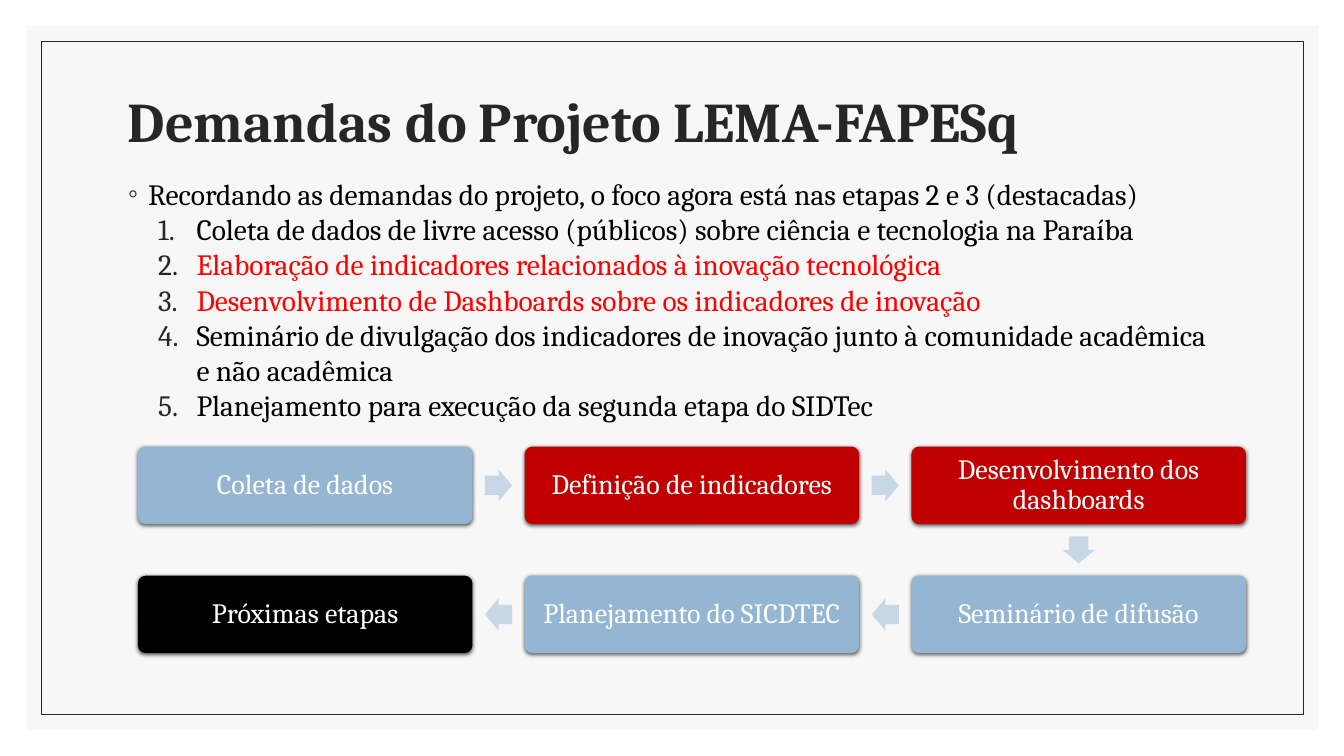
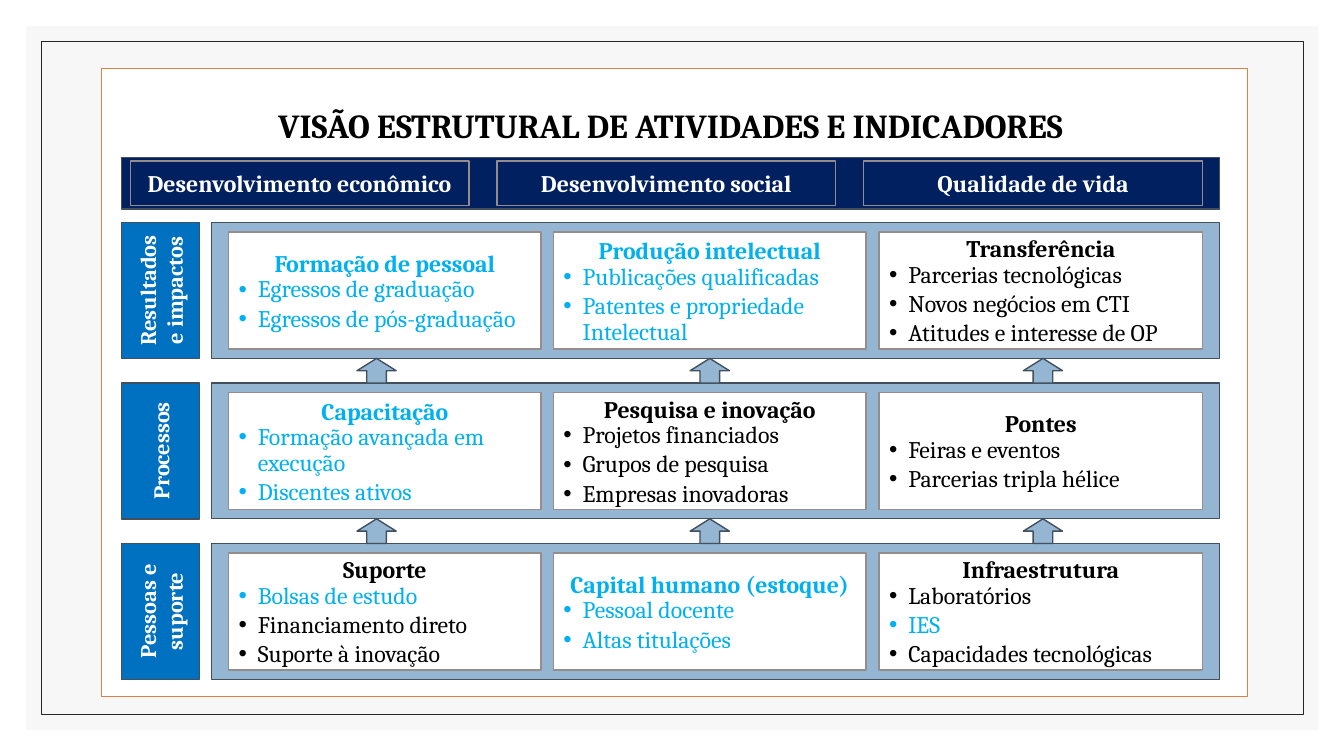
import dataclasses
import itertools
import math

import lxml.etree
import pptx
import pptx.dml.color
import pptx.enum.shapes
import pptx.enum.text
import pptx.oxml.ns
import pptx.util

Pt = pptx.util.Pt
SHAPE = pptx.enum.shapes.MSO_SHAPE
ALIGN = pptx.enum.text.PP_ALIGN
ANCHOR = pptx.enum.text.MSO_ANCHOR
qn = pptx.oxml.ns.qn


@dataclasses.dataclass(frozen=True)
class Theme:
    font: str = "Cambria"
    paper: str = "F7F7F7"
    ink: str = "262626"
    black: str = "000000"
    white: str = "FFFFFF"
    red: str = "FF0000"
    crimson: str = "C00000"
    steel: str = "94B6D2"
    pale: str = "C8D7E5"
    slate: str = "41505C"
    grey: str = "968C8C"
    orange: str = "DD8047"
    blue: str = "0070C0"
    navy: str = "002060"
    cyan: str = "00B0F0"
    title_size: int = 40
    body_size: int = 21
    step_size: int = 20
    panel_title_size: int = 24
    card_size: int = 17
    label_size: int = 16


T = Theme()

DEMANDS = [
    ("Coleta de dados de livre acesso (públicos) sobre ciência e tecnologia na Paraíba", T.black),
    ("Elaboração de indicadores relacionados à inovação tecnológica", T.red),
    ("Desenvolvimento de Dashboards sobre os indicadores de inovação", T.red),
    ("Seminário de divulgação dos indicadores de inovação junto à comunidade acadêmica e não acadêmica", T.black),
    ("Planejamento para execução da segunda etapa do SIDTec", T.black),
]

STEPS = [
    ("Coleta de dados", T.steel, 0, 0),
    ("Definição de indicadores", T.crimson, 1, 0),
    ("Desenvolvimento dos dashboards", T.crimson, 2, 0),
    ("Seminário de difusão", T.steel, 2, 1),
    ("Planejamento do SICDTEC", T.steel, 1, 1),
    ("Próximas etapas", T.black, 0, 1),
]

GOALS = ["Desenvolvimento econômico", "Desenvolvimento social", "Qualidade de vida"]

LAYERS = [
    ("Resultados e impactos", [
        [("Formação de pessoal", T.cyan), ("Egressos de graduação", T.cyan),
         ("Egressos de pós-graduação", T.cyan)],
        [("Produção intelectual", T.cyan), ("Publicações qualificadas", T.cyan),
         ("Patentes e propriedade Intelectual", T.cyan)],
        [("Transferência", T.black), ("Parcerias tecnológicas", T.black),
         ("Novos negócios em CTI", T.black), ("Atitudes e interesse de OP", T.black)],
    ]),
    ("Processos", [
        [("Capacitação", T.cyan), ("Formação avançada em execução", T.cyan),
         ("Discentes ativos", T.cyan)],
        [("Pesquisa e inovação", T.black), ("Projetos financiados", T.black),
         ("Grupos de pesquisa", T.black), ("Empresas inovadoras", T.black)],
        [("Pontes", T.black), ("Feiras e eventos", T.black),
         ("Parcerias tripla hélice", T.black)],
    ]),
    ("Pessoas e suporte", [
        [("Suporte", T.black), ("Bolsas de estudo", T.cyan),
         ("Financiamento direto", T.black), ("Suporte à inovação", T.black)],
        [("Capital humano (estoque)", T.cyan), ("Pessoal docente", T.cyan),
         ("Altas titulações", T.cyan)],
        [("Infraestrutura", T.black), ("Laboratórios", T.black), ("IES", T.cyan),
         ("Capacidades tecnológicas", T.black)],
    ]),
]


def rgb(color):
    return pptx.dml.color.RGBColor.from_string(color)


def place(sp, x, y, w, h):
    sp.left, sp.top, sp.width, sp.height = Pt(x), Pt(y), Pt(w), Pt(h)


def add_shape(s, kind, box, fill=None, line=None, line_width=1):
    x, y, w, h = box
    sp = s.shapes.add_shape(kind, Pt(x), Pt(y), Pt(w), Pt(h))
    sp.shadow.inherit = False
    if fill:
        sp.fill.solid()
        sp.fill.fore_color.rgb = rgb(fill)
    else:
        sp.fill.background()
    if line:
        sp.line.color.rgb = rgb(line)
        sp.line.width = Pt(line_width)
    else:
        sp.line.fill.background()
    return sp


def set_frame(sp, anchor=ANCHOR.MIDDLE):
    tf = sp.text_frame
    tf.auto_size = pptx.enum.text.MSO_AUTO_SIZE.NONE
    tf.word_wrap = True
    tf.vertical_anchor = anchor
    return tf


def write(tf, text, size, color, bold=False, align=ALIGN.CENTER, spacing=1.0, after=0):
    p = tf.paragraphs[0]
    if p.runs:
        p = tf.add_paragraph()
    p.alignment = align
    p.line_spacing = spacing
    p.space_before = Pt(0)
    p.space_after = Pt(after)
    r = p.add_run()
    r.text = text
    r.font.name = T.font
    r.font.size = Pt(size)
    r.font.bold = bold
    r.font.color.rgb = rgb(color)
    return p


def add_bullet(p, indent, hanging, color, tag, **attrs):
    pPr = p._p.get_or_add_pPr()
    pPr.set("marL", str(Pt(indent)))
    pPr.set("indent", str(-Pt(hanging)))
    clr = lxml.etree.SubElement(pPr, qn("a:buClr"))
    lxml.etree.SubElement(clr, qn("a:srgbClr"), val=color)
    lxml.etree.SubElement(pPr, qn("a:buFont"), typeface="Arial")
    lxml.etree.SubElement(pPr, qn(tag), **attrs)


def add_soft_shadow(sp):
    effects = sp.element.spPr.find(qn("a:effectLst"))
    outer = lxml.etree.SubElement(effects, qn("a:outerShdw"), blurRad=str(Pt(3)),
                                  dist=str(Pt(1)), dir="5400000", rotWithShape="0")
    clr = lxml.etree.SubElement(outer, qn("a:srgbClr"), val=T.black)
    lxml.etree.SubElement(clr, qn("a:alpha"), val="63000")


def move_to_back(sp, shapes, depth=0):
    shapes.element.insert(2 + depth, sp.element)


def frame_master(prs, s):
    paper = add_shape(s, SHAPE.RECTANGLE, (18.7, 18.7, 923, 502.6), T.paper)
    border = add_shape(s, SHAPE.RECTANGLE, (29.5, 29.5, 901.4, 481), None, T.ink, 0.5)
    for depth, sp in enumerate((paper, border)):
        move_to_back(sp, prs.slide_master.shapes, depth)


def set_title(s, box, text, size, color, align):
    place(s.shapes.title, *box)
    write(set_frame(s.shapes.title), text, size, color, True, align, 0.9)


def demand_list(s, box):
    body = s.placeholders[1]
    place(body, *box)
    tf = set_frame(body, ANCHOR.TOP)
    p = write(tf, "Recordando as demandas do projeto, o foco agora está nas etapas 2 e 3 (destacadas)",
              T.body_size, T.black, align=ALIGN.LEFT, spacing=1.1)
    add_bullet(p, 14.4, 14.4, T.ink, "a:buChar", char="◦")
    for text, color in DEMANDS:
        p = write(tf, text, T.body_size, color, align=ALIGN.LEFT)
        p.level = 1
        add_bullet(p, 49, 27.4, T.ink, "a:buAutoNum", type="arabicPeriod")


def step_flow(s, box):
    x, y, w, h = box
    step_w, step_h = 239, 55.4
    pitch_x, pitch_y = (w - step_w) / 2, h - step_h
    arrow_w, arrow_h = 19.4, 23
    centres = []
    for text, color, col, row in STEPS:
        left, top = x + col * pitch_x, y + row * pitch_y
        sp = add_shape(s, SHAPE.ROUNDED_RECTANGLE, (left, top, step_w, step_h), color)
        sp.adjustments[0] = 0.1
        add_soft_shadow(sp)
        write(set_frame(sp), text, T.step_size, T.white, spacing=0.9)
        centres.append((left + step_w / 2, top + step_h / 2))
    for (x1, y1), (x2, y2) in itertools.pairwise(centres):
        arrow = add_shape(s, SHAPE.RIGHT_ARROW, ((x1 + x2 - arrow_w) / 2, (y1 + y2 - arrow_h) / 2,
                                                 arrow_w, arrow_h), T.pale)
        arrow.adjustments[0] = 0.6
        arrow.rotation = math.degrees(math.atan2(y2 - y1, x2 - x1))


def goal_band(s, box):
    x, y, w, h = box
    add_shape(s, SHAPE.RECTANGLE, box, T.navy, T.slate)
    for i, goal in enumerate(GOALS):
        sp = add_shape(s, SHAPE.RECTANGLE, (x + 6 + i * 262, y + 2.7, 242, h - 5.4), None, T.grey)
        write(set_frame(sp), goal, T.card_size, T.white, True)


def card(s, box, lines):
    tf = set_frame(add_shape(s, SHAPE.RECTANGLE, box, T.white, T.grey))
    (heading, color), *items = lines
    write(tf, heading, T.card_size, color, True)
    for text, color in items:
        p = write(tf, text, T.card_size, color, align=ALIGN.LEFT, spacing=0.9, after=2.55)
        add_bullet(p, 13.7, 13.7, color, "a:buChar", char="•")


def layer(s, box, label, cards):
    x, y, w, h = box
    label_w, band_x = 55.4, x + 64
    sp = add_shape(s, SHAPE.RECTANGLE, (x + (label_w - h) / 2, y + (h - label_w) / 2, h, label_w),
                   T.blue, T.slate)
    sp.rotation = 270
    write(set_frame(sp), label, T.label_size, T.white, True)
    add_shape(s, SHAPE.RECTANGLE, (band_x, y, w - 64, h), T.steel, T.slate)
    columns = [(12.4, 223.2), (244.4, 223.2), (477, 231)]
    for (left, width), lines in zip(columns, cards):
        card(s, (band_x + left, y + 6.7, width, h - 13.4), lines)


def structure(s, box):
    x, y, w, h = box
    panel = add_shape(s, SHAPE.RECTANGLE, box, T.white, T.orange)
    move_to_back(panel, s.shapes)
    inner_x, inner_w = x + 14.3, 784
    set_title(s, (inner_x, y + 22, inner_w, 40), "VISÃO ESTRUTURAL DE ATIVIDADES E INDICADORES",
              T.panel_title_size, T.black, ALIGN.CENTER)
    goal_band(s, (inner_x, y + 63.4, inner_w, 37))
    layer_h, gap = 97, 17.6
    for i, (label, cards) in enumerate(LAYERS):
        top = y + 110 + i * (layer_h + gap)
        layer(s, (inner_x, top, inner_w, layer_h), label, cards)
        if i:
            for col in range(3):
                add_shape(s, SHAPE.UP_ARROW, (inner_x + 168 + col * 238, top - gap, 28, gap),
                          T.steel, T.slate)


def demands_slide(prs):
    s = prs.slides.add_slide(prs.slide_layouts[1])
    frame_master(prs, s)
    set_title(s, (84.2, 50.4, 792, 77), "Demandas do Projeto LEMA-FAPESq",
              T.title_size, T.ink, ALIGN.LEFT)
    demand_list(s, (84.2, 119.5, 792, 370))
    step_flow(s, (98.5, 319, 791.5, 147.6))


def structure_slide(prs):
    s = prs.slides.add_slide(prs.slide_layouts[5])
    structure(s, (72.7, 49, 818.6, 448.6))


def main():
    prs = pptx.Presentation()
    prs.slide_width, prs.slide_height = Pt(960), Pt(540)
    demands_slide(prs)
    structure_slide(prs)
    prs.save("out.pptx")


if __name__ == "__main__":
    main()
